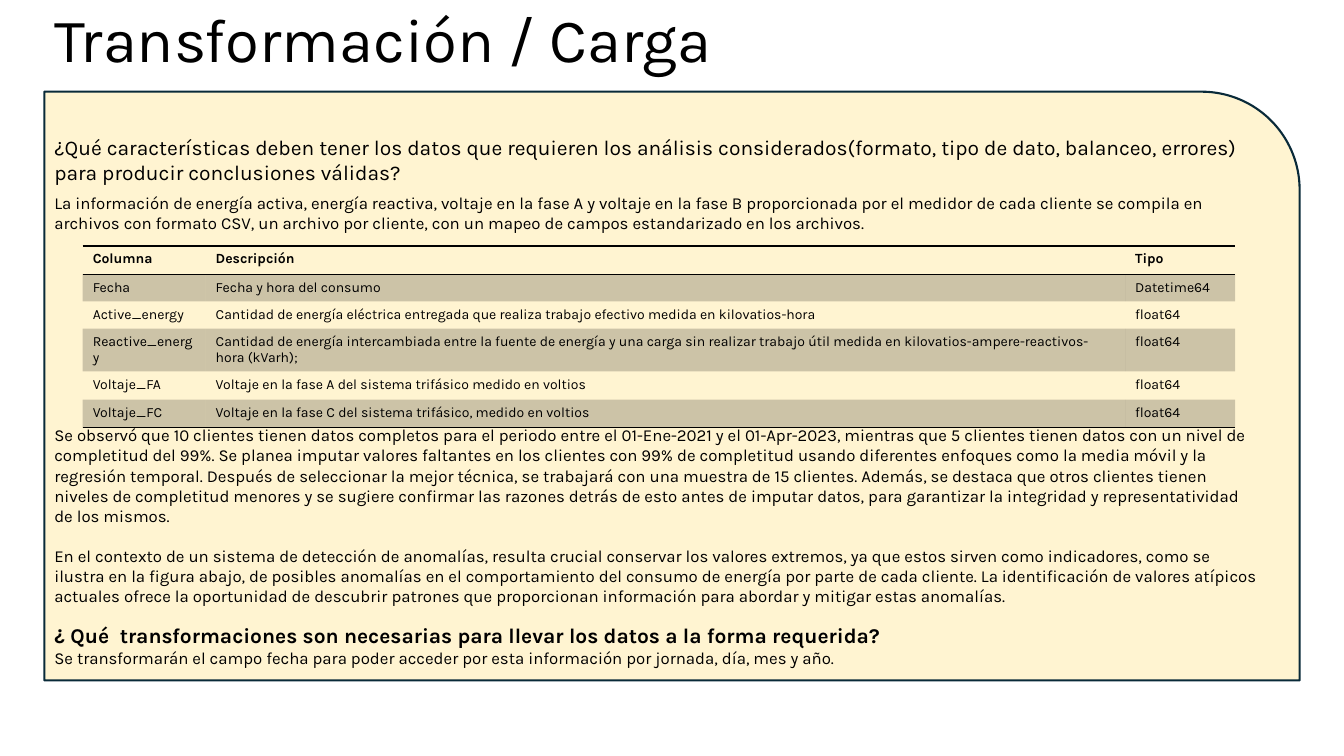
import pptx
import pptx.util
import pptx.dml.color
import pptx.enum.shapes
import pptx.enum.text
import pptx.oxml
import pptx.oxml.ns

EMU_PER_PX = 9144
FONT = "Karla"
INK = "000000"
PLAIN_TABLE_STYLE = "{2D5ABB26-0587-4C30-8999-92F81FD0307C}"

TITLE = "Transformación / Carga"
PANEL_TEXT = [
    ("¿Qué características deben tener los datos que requieren los análisis considerados(formato, tipo de dato, balanceo, errores) para producir conclusiones válidas?", 15, False, 0),
    ("La información de energía activa, energía reactiva, voltaje en la fase A y voltaje en la fase B proporcionada por el medidor de cada cliente se compila en archivos con formato CSV, un archivo por cliente, con un mapeo de campos estandarizado en los archivos.", 12, False, 6),
    ("Se observó que 10 clientes tienen datos completos para el periodo entre el 01-Ene-2021 y el 01-Apr-2023, mientras que 5 clientes tienen datos con un nivel de completitud del 99%. Se planea imputar valores faltantes en los clientes con 99% de completitud usando diferentes enfoques como la media móvil y la regresión temporal. Después de seleccionar la mejor técnica, se trabajará con una muestra de 15 clientes. Además, se destaca que otros clientes tienen niveles de completitud menores y se sugiere confirmar las razones detrás de esto antes de imputar datos, para garantizar la integridad y representatividad de los mismos.", 12, False, 137),
    ("En el contexto de un sistema de detección de anomalías, resulta crucial conservar los valores extremos, ya que estos sirven como indicadores, como se ilustra en la figura abajo, de posibles anomalías en el comportamiento del consumo de energía por parte de cada cliente. La identificación de valores atípicos actuales ofrece la oportunidad de descubrir patrones que proporcionan información para abordar y mitigar estas anomalías.", 12, False, 14),
    ("¿ Qué  transformaciones son necesarias para llevar los datos a la forma requerida?", 15, True, 12),
    ("Se transformarán el campo fecha para poder acceder por esta información por jornada, día, mes y año.", 12, False, 0),
]
FIELDS = [
    ("Columna", "Descripción", "Tipo"),
    ("Fecha", "Fecha y hora del consumo", "Datetime64"),
    ("Active_energy", "Cantidad de energía eléctrica entregada que realiza trabajo efectivo medida en kilovatios-hora", "float64"),
    ("Reactive_energy", "Cantidad de energía intercambiada entre la fuente de energía y una carga sin realizar trabajo útil medida en kilovatios-ampere-reactivos-hora (kVarh);", "float64"),
    ("Voltaje_FA", "Voltaje en la fase A del sistema trifásico medido en voltios", "float64"),
    ("Voltaje_FC", "Voltaje en la fase C del sistema trifásico, medido en voltios", "float64"),
]
COLUMN_WIDTHS = [122, 912, 109]
ROW_HEIGHTS = [28, 27, 27, 42, 28, 28]


def px(length):
    return pptx.util.Emu(length * EMU_PER_PX)


def color(hex_string):
    return pptx.dml.color.RGBColor.from_string(hex_string)


def format_paragraph(paragraph, size, bold=False):
    paragraph.alignment = pptx.enum.text.PP_ALIGN.LEFT
    paragraph.font.name = FONT
    paragraph.font.size = pptx.util.Pt(size)
    paragraph.font.bold = bold
    paragraph.font.color.rgb = color(INK)


def place_title(slide):
    title = slide.shapes.title
    title.left, title.top, title.width, title.height = map(px, (44, 3, 1150, 78))
    title.text_frame.text = TITLE
    title.text_frame.vertical_anchor = pptx.enum.text.MSO_ANCHOR.MIDDLE
    heading = title.text_frame.paragraphs[0]
    format_paragraph(heading, 44)
    heading.line_spacing = 0.9


def add_panel(slide):
    panel = slide.shapes.add_shape(
        pptx.enum.shapes.MSO_SHAPE.ROUND_1_RECTANGLE, *map(px, (44, 91, 1245, 584)))
    panel.shadow.inherit = False
    panel.fill.solid()
    panel.fill.fore_color.rgb = color("FFF4D1")
    panel.line.color.rgb = color("092A39")
    panel.line.width = pptx.util.Pt(1.5)
    frame = panel.text_frame
    frame.word_wrap = True
    frame.vertical_anchor = pptx.enum.text.MSO_ANCHOR.TOP
    frame.margin_top = px(42)
    for index, (text, size, bold, gap) in enumerate(PANEL_TEXT):
        paragraph = frame.add_paragraph() if index else frame.paragraphs[0]
        paragraph.text = text
        paragraph.space_before = pptx.util.Pt(gap)
        format_paragraph(paragraph, size, bold)


def shade_cell(cell):
    cell.fill.solid()
    cell.fill.fore_color.rgb = color(INK)
    tint = cell._tc.tcPr.find(".//" + pptx.oxml.ns.qn("a:srgbClr"))
    tint.append(pptx.oxml.parse_xml(
        f'<a:alpha {pptx.oxml.ns.nsdecls("a")} val="20000"/>'))


def rule_cell(cell, sides):
    for position, side in enumerate(sides):
        cell._tc.get_or_add_tcPr().insert(position, pptx.oxml.parse_xml(
            f'<a:ln{side} {pptx.oxml.ns.nsdecls("a")} w="12700">'
            f'<a:solidFill><a:srgbClr val="{INK}"/></a:solidFill></a:ln{side}>'))


def add_field_table(slide):
    table = slide.shapes.add_table(
        len(FIELDS), len(COLUMN_WIDTHS),
        *map(px, (82, 244, sum(COLUMN_WIDTHS), sum(ROW_HEIGHTS)))).table
    table.first_row = False
    table.horz_banding = False
    table._tbl.tblPr.find(pptx.oxml.ns.qn("a:tableStyleId")).text = PLAIN_TABLE_STYLE
    for column, width in zip(table.columns, COLUMN_WIDTHS):
        column.width = px(width)
    rules = {0: "TB", len(FIELDS) - 1: "B"}
    for row_index, field in enumerate(FIELDS):
        table.rows[row_index].height = px(ROW_HEIGHTS[row_index])
        for column_index, text in enumerate(field):
            cell = table.cell(row_index, column_index)
            cell.text = text
            format_paragraph(cell.text_frame.paragraphs[0], 10, row_index == 0)
            if row_index % 2:
                shade_cell(cell)
            else:
                cell.fill.background()
            rule_cell(cell, rules.get(row_index, ""))


def main():
    presentation = pptx.Presentation()
    presentation.slide_width = px(1333)
    presentation.slide_height = px(750)
    slide = presentation.slides.add_slide(presentation.slide_layouts[5])
    place_title(slide)
    add_panel(slide)
    add_field_table(slide)
    presentation.save("out.pptx")


if __name__ == "__main__":
    main()
